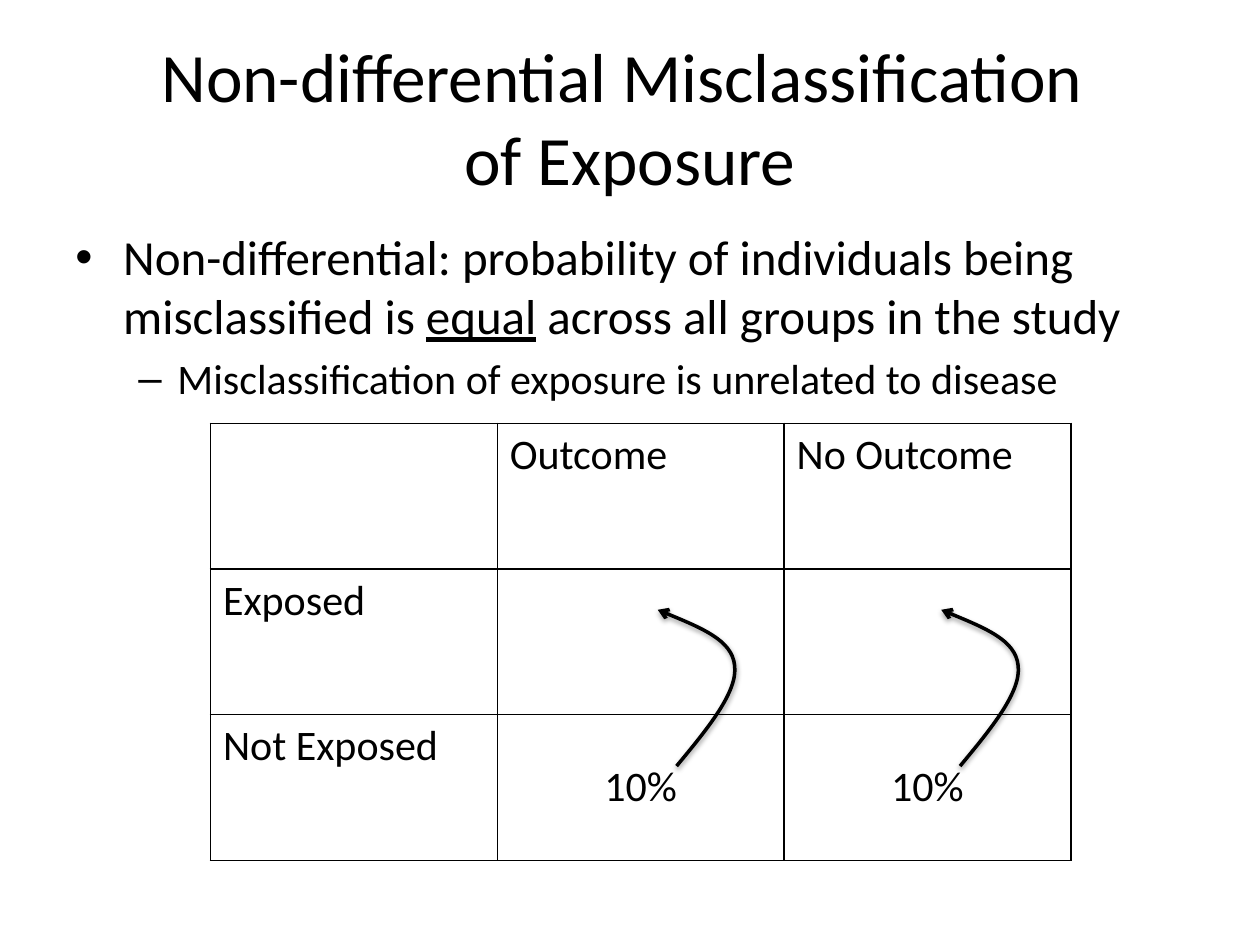
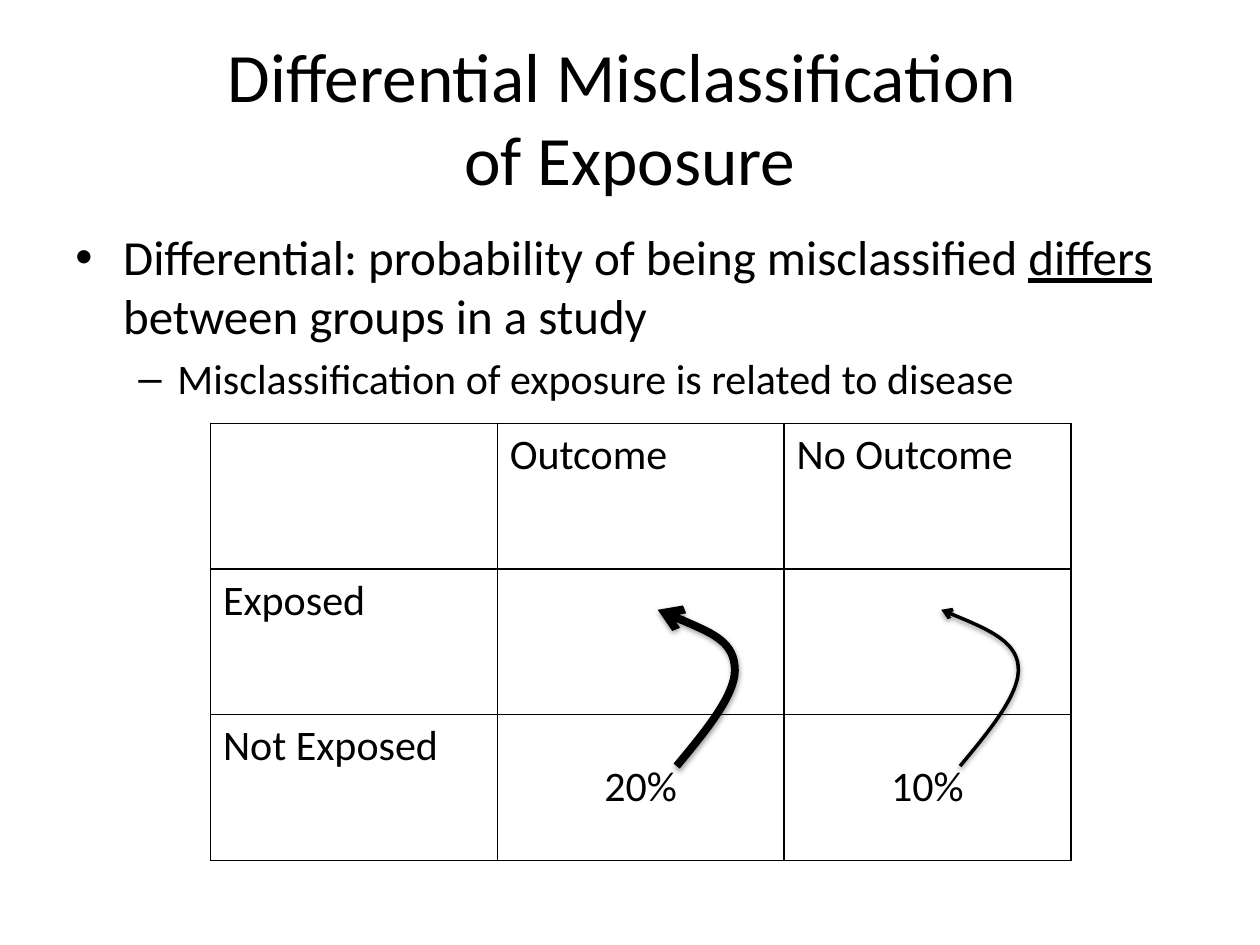
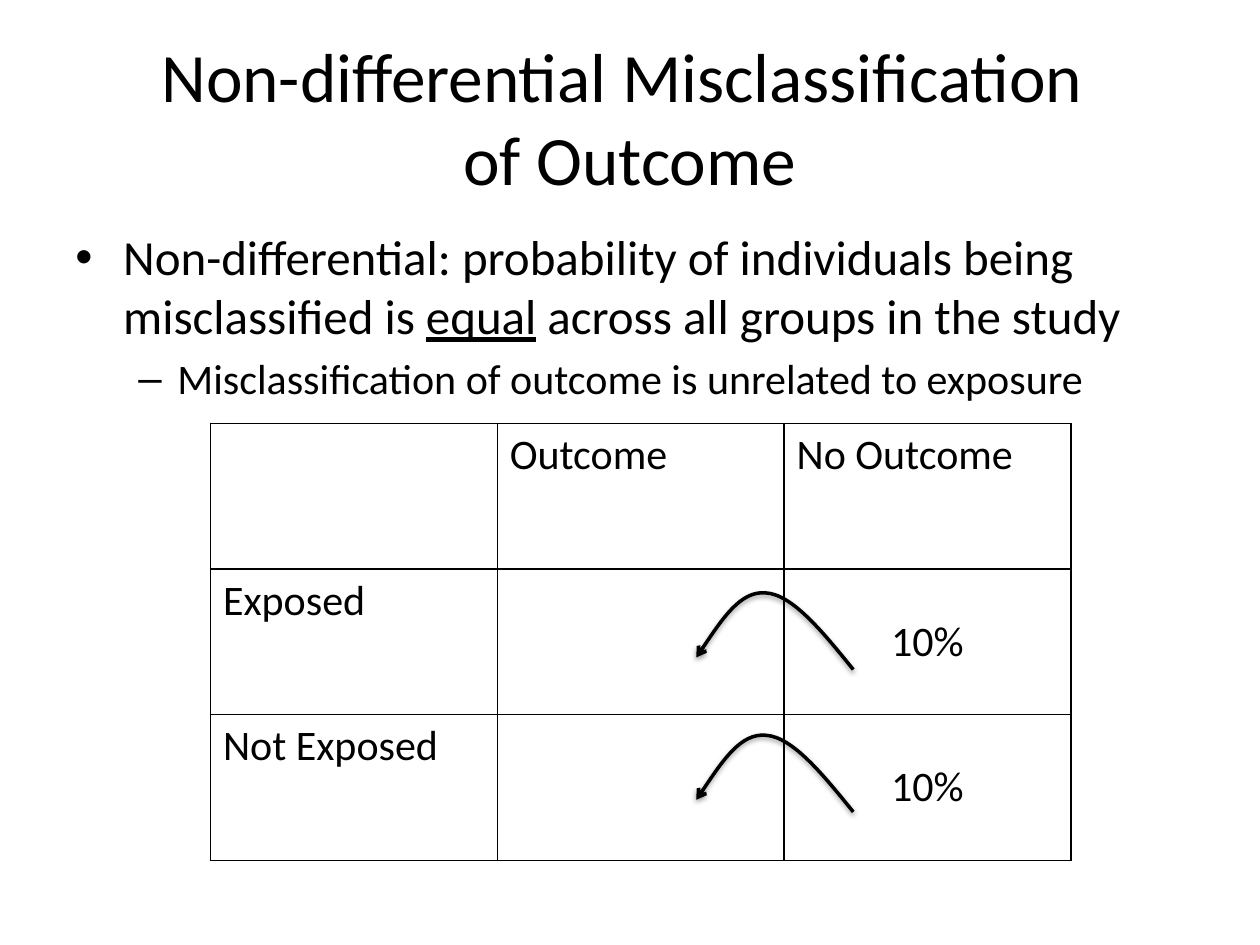
from dataclasses import dataclass

from lxml.etree import SubElement
from pptx import Presentation
from pptx.dml.color import RGBColor
from pptx.enum.text import MSO_ANCHOR, PP_ALIGN
from pptx.oxml.ns import qn
from pptx.util import Inches, Pt


@dataclass(frozen=True)
class Theme:
    font: str = "Calibri"
    ink: str = "000000"
    paper: str = "FFFFFF"
    title_size: float = 39.6
    point_size: float = 28
    detail_size: float = 24
    cell_size: float = 24
    border: float = 1
    thin_arrow: float = 2
    thick_arrow: float = 4.5


THEME = Theme()
HEADINGS = {(0, 1): "Outcome", (0, 2): "No Outcome", (1, 0): "Exposed", (2, 0): "Not Exposed"}
CURVE_SIZE = (0.61, 1.24)
CURVE_POINTS = [(0.15, 1.24), (0.39, 0.95), (0.64, 0.65), (0.61, 0.44),
                (0.59, 0.24), (0.29, 0.12), (0, 0)]
UPWARD = 0
LEFTWARD = 281.3

NON_DIFFERENTIAL = ("Non-differential: probability of individuals being misclassified is ",
                    "equal", " across all groups in the study")
DIFFERENTIAL = ("Differential: probability of being misclassified ",
                "differs", " between groups in a study")


def add_ink(parent):
    fill = SubElement(parent, qn("a:solidFill"))
    return SubElement(fill, qn("a:srgbClr"), val=THEME.ink)


def style_runs(paragraph, size):
    for run in paragraph.runs:
        run.font.name = THEME.font
        run.font.size = Pt(size)
        run.font.color.rgb = RGBColor.from_string(THEME.ink)


def add_text_area(slide, top, height):
    frame = slide.shapes.add_textbox(Inches(0.5), Inches(top), Inches(9), Inches(height)).text_frame
    frame.word_wrap = True
    return frame


def add_title(slide, title):
    frame = add_text_area(slide, 0.3, 1.25)
    frame.vertical_anchor = MSO_ANCHOR.MIDDLE
    frame.text = title
    heading = frame.paragraphs[0]
    heading.alignment = PP_ALIGN.CENTER
    style_runs(heading, THEME.title_size)


def format_bullet(paragraph, mark, size, margin, hanging):
    style_runs(paragraph, size)
    paragraph.space_before = Pt(size * 0.2)
    properties = paragraph._p.get_or_add_pPr()
    properties.set("marL", str(Inches(margin)))
    properties.set("indent", str(-Inches(hanging)))
    SubElement(properties, qn("a:buFont"), typeface="Arial")
    SubElement(properties, qn("a:buChar"), char=mark)


def add_definition(slide, definition, detail):
    frame = add_text_area(slide, 1.75, 4.95)
    point = frame.paragraphs[0]
    for part in definition:
        point.add_run().text = part
    point.runs[1].font.underline = True
    format_bullet(point, "•", THEME.point_size, 0.38, 0.38)
    explanation = frame.add_paragraph()
    explanation.text = detail
    explanation.level = 1
    format_bullet(explanation, "–", THEME.detail_size, 0.81, 0.31)


def format_cell(cell):
    properties = cell._tc.get_or_add_tcPr()
    for side in ("lnL", "lnR", "lnT", "lnB"):
        add_ink(SubElement(properties, qn(f"a:{side}"), w=str(Pt(THEME.border))))
    cell.fill.background()


def add_study_table(slide, rates):
    table = slide.shapes.add_table(3, 3, Inches(1.67), Inches(3.36),
                                   Inches(6.83), Inches(3.47)).table
    table.first_row = False
    table.horz_banding = False
    for cell in table.iter_cells():
        format_cell(cell)
    for (row, column), label in (HEADINGS | rates).items():
        cell = table.cell(row, column)
        cell.text = label
        paragraph = cell.text_frame.paragraphs[0]
        style_runs(paragraph, THEME.cell_size)
        if (row, column) in rates:
            cell.vertical_anchor = MSO_ANCHOR.MIDDLE
            paragraph.alignment = PP_ALIGN.CENTER


def bend_segments(arrow):
    outline = arrow.element.spPr.find(".//" + qn("a:path"))
    outline.set("w", str(arrow.width))
    corners = outline.findall(qn("a:lnTo"))
    for start in range(0, len(corners), 3):
        bend = SubElement(outline, qn("a:cubicBezTo"))
        for corner in corners[start:start + 3]:
            bend.append(corner[0])
            outline.remove(corner)


def add_arrow_shadow(arrow):
    arrow.shadow.inherit = False
    effects = arrow.element.spPr.find(qn("a:effectLst"))
    shadow = SubElement(effects, qn("a:outerShdw"), blurRad=str(Pt(3.1)), dist=str(Pt(1.6)),
                        dir="5400000", rotWithShape="0")
    color = SubElement(shadow, qn("a:srgbClr"), val=THEME.ink)
    SubElement(color, qn("a:alpha"), val="38000")


def add_shift_arrow(slide, left, top, rotation, weight):
    points = [(Inches(left + x), Inches(top + y)) for x, y in CURVE_POINTS]
    builder = slide.shapes.build_freeform(*points[0])
    builder.add_line_segments(points[1:], close=False)
    arrow = builder.convert_to_shape()
    arrow.width, arrow.height = (Inches(length) for length in CURVE_SIZE)
    bend_segments(arrow)
    arrow.rotation = rotation
    arrow.fill.background()
    arrow.line.color.rgb = RGBColor.from_string(THEME.ink)
    arrow.line.width = Pt(weight)
    SubElement(arrow.element.spPr.find(qn("a:ln")), qn("a:tailEnd"), type="arrow")
    add_arrow_shadow(arrow)


def add_study_slide(deck, title, definition, detail, rates, arrows):
    slide = deck.slides.add_slide(deck.slide_layouts[6])
    slide.background.fill.solid()
    slide.background.fill.fore_color.rgb = RGBColor.from_string(THEME.paper)
    add_title(slide, title)
    add_definition(slide, definition, detail)
    add_study_table(slide, rates)
    for arrow in arrows:
        add_shift_arrow(slide, *arrow)


def main():
    deck = Presentation()
    deck.slide_width = Inches(10)
    deck.slide_height = Inches(7.5)
    no_outcome_arrow = (7.47, 4.84, UPWARD, THEME.thin_arrow)

    add_study_slide(
        deck, "Non-differential Misclassification \vof Exposure", NON_DIFFERENTIAL,
        "Misclassification of exposure is unrelated to disease",
        {(2, 1): "10%", (2, 2): "10%"},
        [(5.22, 4.84, UPWARD, THEME.thin_arrow), no_outcome_arrow])
    add_study_slide(
        deck, "Differential Misclassification \vof Exposure", DIFFERENTIAL,
        "Misclassification of exposure is related to disease",
        {(2, 1): "20%", (2, 2): "10%"},
        [(5.22, 4.84, UPWARD, THEME.thick_arrow), no_outcome_arrow])
    add_study_slide(
        deck, "Non-differential Misclassification \vof Outcome", NON_DIFFERENTIAL,
        "Misclassification of outcome is unrelated to exposure",
        {(1, 2): "10%", (2, 2): "10%"},
        [(5.89, top, LEFTWARD, THEME.thin_arrow) for top in (4.42, 5.55)])

    deck.save("out.pptx")


main()
